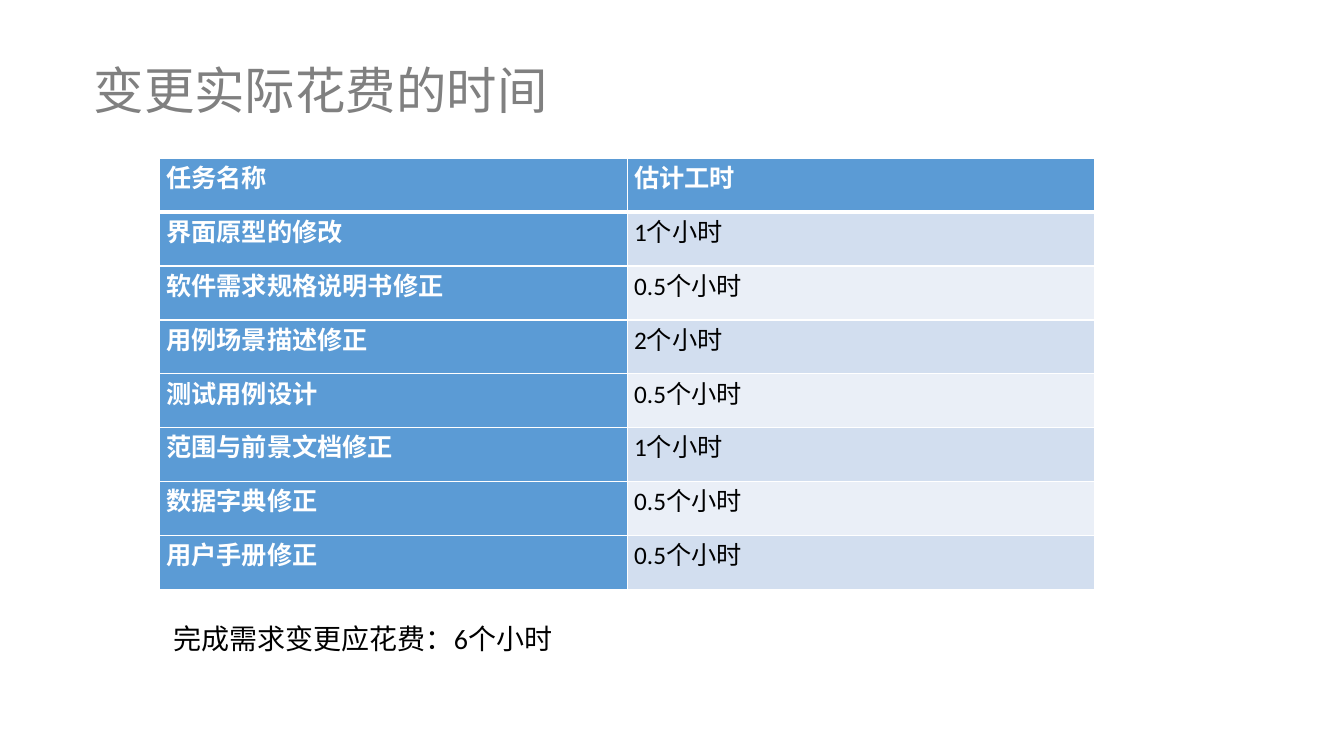
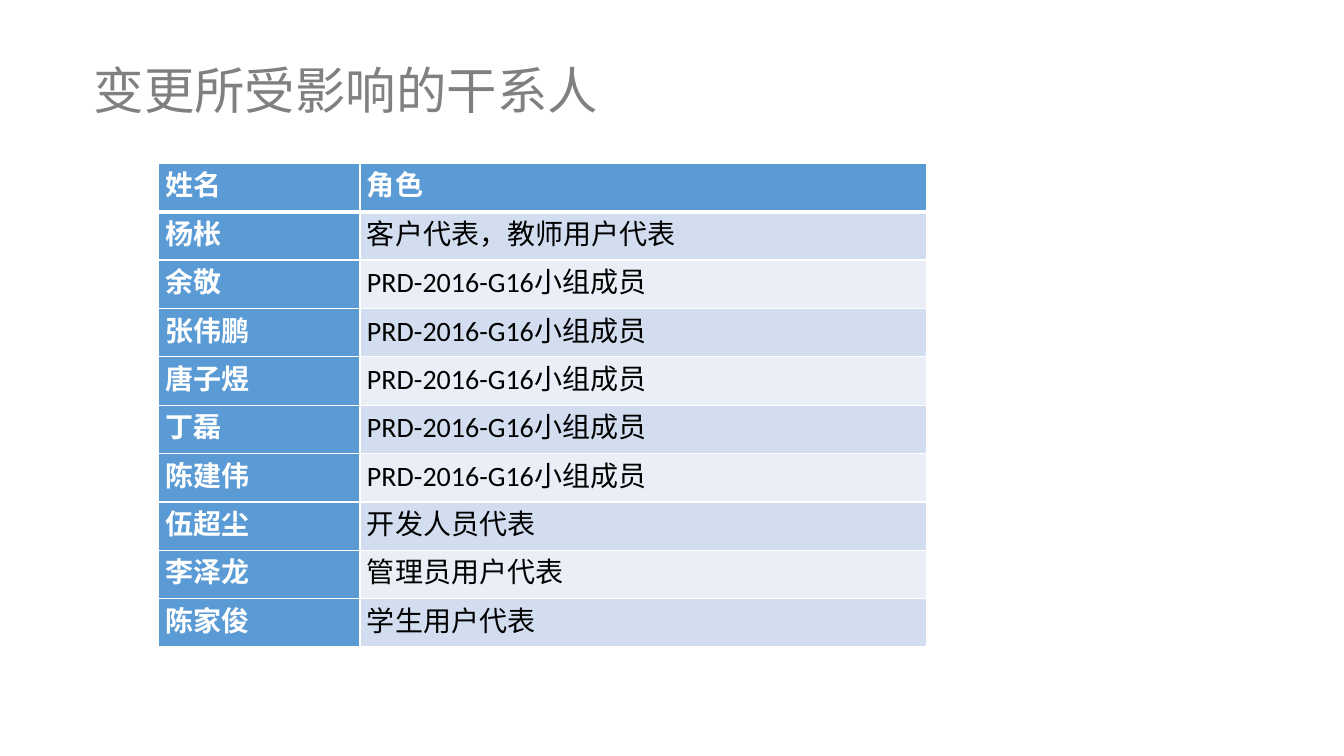
from lxml import etree
from pptx import Presentation
from pptx.dml.color import RGBColor
from pptx.enum.text import MSO_ANCHOR, MSO_AUTO_SIZE, PP_ALIGN
from pptx.oxml.ns import qn
from pptx.util import Inches, Pt

LEFT = PP_ALIGN.LEFT
JUSTIFY = PP_ALIGN.JUSTIFY
TOP = MSO_ANCHOR.TOP
MIDDLE = MSO_ANCHOR.MIDDLE
NO_AUTOSIZE = MSO_AUTO_SIZE.NONE

COLORS = {
    "title": "808080",
    "text": "000000",
    "white": "FFFFFF",
    "header": "5B9BD5",
    "odd_row": "D2DEEF",
    "even_row": "EAEFF7",
}
LATIN_FONT = "Calibri"
CHINESE_FONT = "Noto Sans CJK SC"
TITLE_ONLY = 5

HOURS = [
    ("任务名称", "估计工时"),
    ("界面原型的修改", "1个小时"),
    ("软件需求规格说明书修正", "0.5个小时"),
    ("用例场景描述修正", "2个小时"),
    ("测试用例设计", "0.5个小时"),
    ("范围与前景文档修正", "1个小时"),
    ("数据字典修正", "0.5个小时"),
    ("用户手册修正", "0.5个小时"),
]
TEAM_ROLE = "PRD-2016-G16小组成员"
TEAM = ["余敬", "张伟鹏", "唐子煜", "丁磊", "陈建伟"]
STAKEHOLDERS = [
    ("姓名", "角色"),
    ("杨枨", "客户代表，教师用户代表"),
    *[(name, TEAM_ROLE) for name in TEAM],
    ("伍超尘", "开发人员代表"),
    ("李泽龙", "管理员用户代表"),
    ("陈家俊", "学生用户代表"),
]


def color(name):
    return RGBColor.from_string(COLORS[name])


def write_text(text_frame, text, size, ink="text", font=LATIN_FONT, bold=False, align=LEFT):
    paragraph = text_frame.paragraphs[0]
    paragraph.alignment = align
    run = paragraph.add_run()
    run.text = text
    run.font.size = Pt(size)
    run.font.name = font
    run.font.bold = bold
    run.font.color.rgb = color(ink)
    east_asian = etree.SubElement(run.font._element, qn("a:ea"))
    east_asian.set("typeface", CHINESE_FONT)


def add_titled_slide(presentation, title):
    slide = presentation.slides.add_slide(presentation.slide_layouts[TITLE_ONLY])
    shape = slide.shapes.title
    shape.left, shape.top = Inches(0.83), Inches(0.54)
    shape.width, shape.height = Inches(5.34), Inches(0.71)
    text_frame = shape.text_frame
    text_frame.vertical_anchor = TOP
    text_frame.auto_size = NO_AUTOSIZE
    write_text(text_frame, title, 36, ink="title", font=CHINESE_FONT)
    return slide


def set_borders(cell, top=1, bottom=1):
    properties = cell._tc.get_or_add_tcPr()
    widths = {"a:lnL": 1, "a:lnR": 1, "a:lnT": top, "a:lnB": bottom}
    for index, (tag, width) in enumerate(widths.items()):
        line = etree.Element(qn(tag), w=str(Pt(width)))
        fill = etree.SubElement(line, qn("a:solidFill"))
        etree.SubElement(fill, qn("a:srgbClr"), val=COLORS["white"])
        properties.insert(index, line)


def format_cell(cell, text, row, column, size):
    emphasized = row == 0 or column == 0
    cell.margin_left = cell.margin_right = Inches(0.07)
    cell.margin_top = cell.margin_bottom = 0
    cell.vertical_anchor = TOP
    cell.fill.solid()
    band = "odd_row" if row % 2 else "even_row"
    cell.fill.fore_color.rgb = color("header" if emphasized else band)
    set_borders(cell, top=3 if row == 1 else 1, bottom=3 if row == 0 else 1)
    write_text(cell.text_frame, text, size, ink="white" if emphasized else "text",
               bold=emphasized, align=JUSTIFY)


def add_grid(slide, rows, left, top, column_widths, row_height, size):
    frame = slide.shapes.add_table(
        len(rows), len(column_widths), Inches(left), Inches(top),
        Inches(sum(column_widths)), Inches(row_height * len(rows)))
    table = frame.table
    for column, width in zip(table.columns, column_widths):
        column.width = Inches(width)
    for row_index, texts in enumerate(rows):
        table.rows[row_index].height = Inches(row_height)
        for column_index, text in enumerate(texts):
            format_cell(table.cell(row_index, column_index), text,
                        row_index, column_index, size)


def add_note(slide, text, left, top, width, height, size):
    shape = slide.shapes.add_textbox(Inches(left), Inches(top), Inches(width), Inches(height))
    text_frame = shape.text_frame
    text_frame.word_wrap = True
    text_frame.auto_size = NO_AUTOSIZE
    text_frame.vertical_anchor = MIDDLE
    write_text(text_frame, text, size)


def main():
    presentation = Presentation()
    presentation.slide_width = Inches(13.33)
    presentation.slide_height = Inches(7.5)

    hours_slide = add_titled_slide(presentation, "变更实际花费的时间")
    add_grid(hours_slide, HOURS, 1.58, 1.57, [4.64, 4.64], 0.535, 18)
    add_note(hours_slide, "完成需求变更应花费：6个小时", 1.62, 6.11, 3.99, 0.44, 20)

    stakeholder_slide = add_titled_slide(presentation, "变更所受影响的干系人")
    add_grid(stakeholder_slide, STAKEHOLDERS, 1.57, 1.62, [2, 5.62], 0.48, 20)

    presentation.save("out.pptx")


if __name__ == "__main__":
    main()
